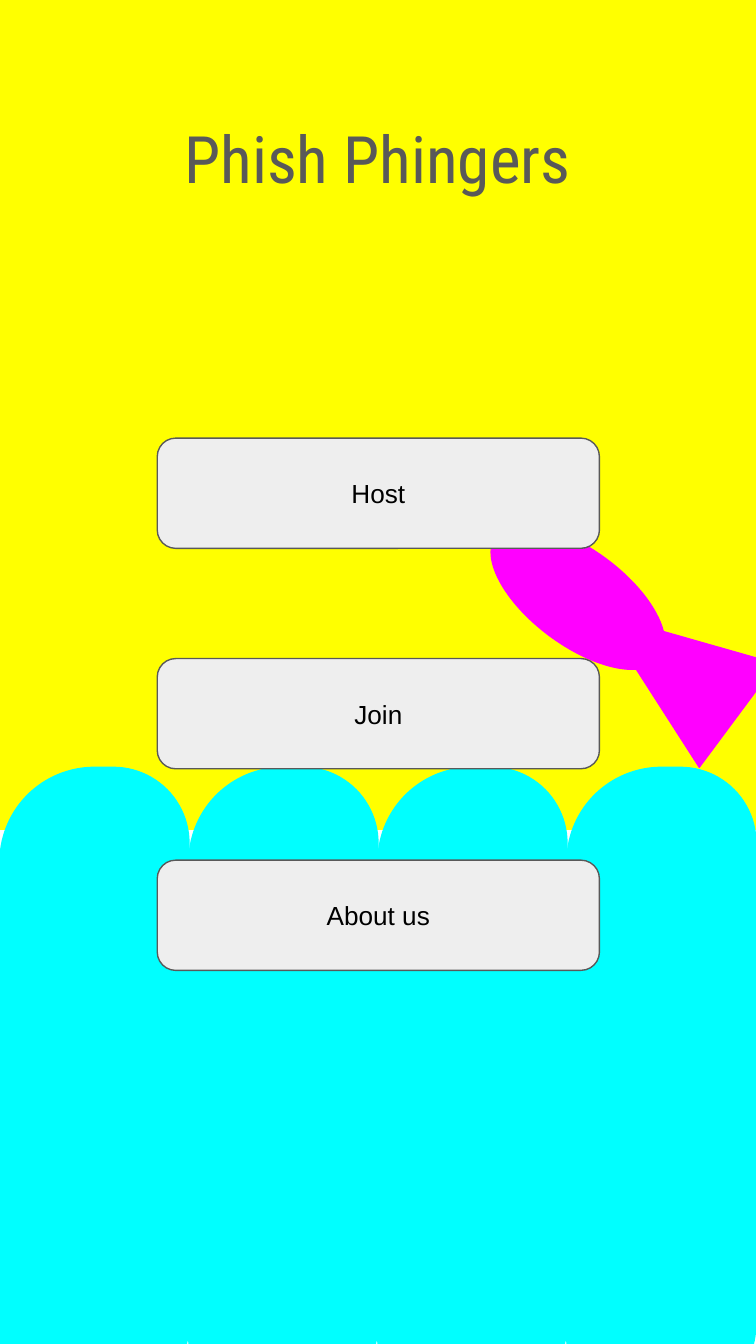
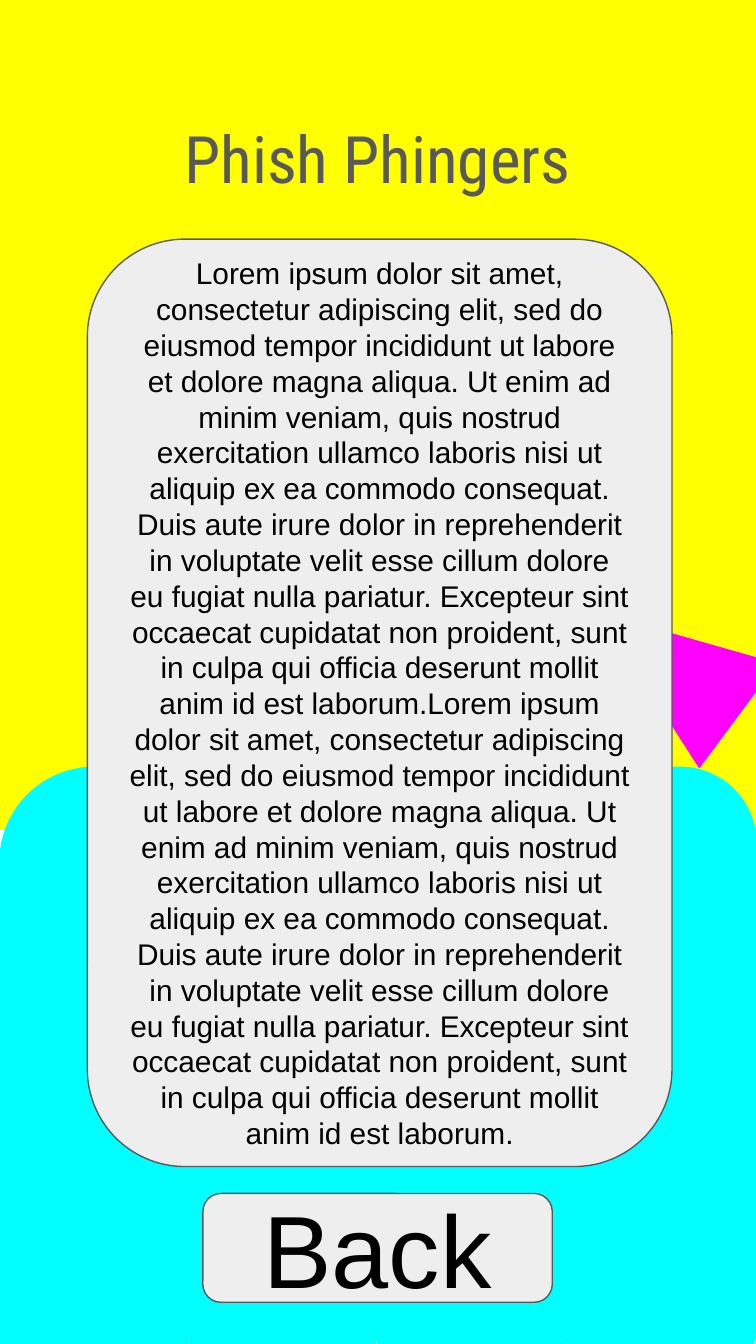
import pptx
import pptx.dml.color
import pptx.enum.shapes
import pptx.enum.text
import pptx.util

Inches = pptx.util.Inches
SHAPES = pptx.enum.shapes.MSO_SHAPE
ANCHOR = pptx.enum.text.MSO_ANCHOR

COLORS = {
    "sky": "FFFF00",
    "fish": "FF00FF",
    "sea": "00FFFF",
    "panel": "EEEEEE",
    "outline": "595959",
    "title": "595959",
    "text": "000000",
}
SLIDE_HEIGHT = 10
SLIDE_WIDTH = SLIDE_HEIGHT * 9 / 16
WAVE_COUNT = 4
TITLE = "Phish Phingers"
LOREM = (
    "Lorem ipsum dolor sit amet, consectetur adipiscing elit, sed do eiusmod tempor "
    "incididunt ut labore et dolore magna aliqua. Ut enim ad minim veniam, quis nostrud "
    "exercitation ullamco laboris nisi ut aliquip ex ea commodo consequat. Duis aute irure "
    "dolor in reprehenderit in voluptate velit esse cillum dolore eu fugiat nulla pariatur. "
    "Excepteur sint occaecat cupidatat non proident, sunt in culpa qui officia deserunt "
    "mollit anim id est laborum."
)


def add_filled_shape(slide, kind, box, fill, line):
    shape = slide.shapes.add_shape(kind, *[Inches(length) for length in box])
    shape.shadow.inherit = False
    shape.fill.solid()
    shape.fill.fore_color.rgb = pptx.dml.color.RGBColor.from_string(COLORS[fill])
    shape.line.color.rgb = pptx.dml.color.RGBColor.from_string(COLORS[line])
    shape.line.width = pptx.util.Pt(0.75)
    return shape


def write_text(shape, text, font_name, size, color, anchor):
    """Put one centred paragraph in the shape, with equal margins all round."""
    text_frame = shape.text_frame
    text_frame.text = text
    text_frame.word_wrap = True
    text_frame.vertical_anchor = anchor
    text_frame.margin_left = text_frame.margin_right = Inches(0.1)
    text_frame.margin_top = text_frame.margin_bottom = Inches(0.1)
    paragraph = text_frame.paragraphs[0]
    paragraph.alignment = pptx.enum.text.PP_ALIGN.CENTER
    font = paragraph.runs[0].font
    font.name = font_name
    font.size = pptx.util.Pt(size)
    font.color.rgb = pptx.dml.color.RGBColor.from_string(COLORS[color])


presentation = pptx.Presentation()
presentation.slide_width = Inches(SLIDE_WIDTH)
presentation.slide_height = Inches(SLIDE_HEIGHT)
title_only_layout = presentation.slide_layouts[5]

# Each panel: text, box, font size
menu_panels = [
    (label, (1.17, top, 3.29, 0.82), 14)
    for label, top in [("Host", 3.26), ("Join", 4.9), ("About us", 6.4)]
]
about_panels = [
    (LOREM + LOREM, (0.65, 1.78, 4.35, 6.9), 16),
    ("Back", (1.51, 8.88, 2.6, 0.81), 55),
]

for panels in [menu_panels, about_panels]:
    slide = presentation.slides.add_slide(title_only_layout)

    # Sky, fish and sea
    add_filled_shape(slide, SHAPES.RECTANGLE, (0, -0.1, SLIDE_WIDTH, 6.27), "sky", "sky")
    body = add_filled_shape(slide, SHAPES.OVAL, (3.54, 4.09, 1.52, 0.71), "fish", "fish")
    body.rotation = 36.6
    tail = add_filled_shape(
        slide, SHAPES.ISOSCELES_TRIANGLE, (4.5, 4.31, 0.96, 1.27), "fish", "fish"
    )
    tail.rotation = 306.6
    wave_width = SLIDE_WIDTH / WAVE_COUNT
    for column in reversed(range(WAVE_COUNT)):
        wave = add_filled_shape(
            slide,
            SHAPES.ROUND_2_DIAG_RECTANGLE,
            (column * wave_width, 5.71, wave_width, 4.83),
            "sea",
            "sea",
        )
        wave.adjustments[0] = 0.5
        wave.adjustments[1] = 0.4

    # Panels
    for text, box, size in panels:
        panel = add_filled_shape(slide, SHAPES.ROUNDED_RECTANGLE, box, "panel", "outline")
        write_text(panel, text, "Arial", size, "text", ANCHOR.MIDDLE)

    # Title, brought in front of the scenery
    title = slide.shapes.title
    title.left, title.top = Inches(0.36), Inches(0.78)
    title.width, title.height = Inches(4.9), Inches(0.79)
    write_text(title, TITLE, "Roboto Condensed", 35, "title", ANCHOR.TOP)
    title.text_frame.auto_size = pptx.enum.text.MSO_AUTO_SIZE.SHAPE_TO_FIT_TEXT
    title.element.getparent().append(title.element)

presentation.save("out.pptx")
